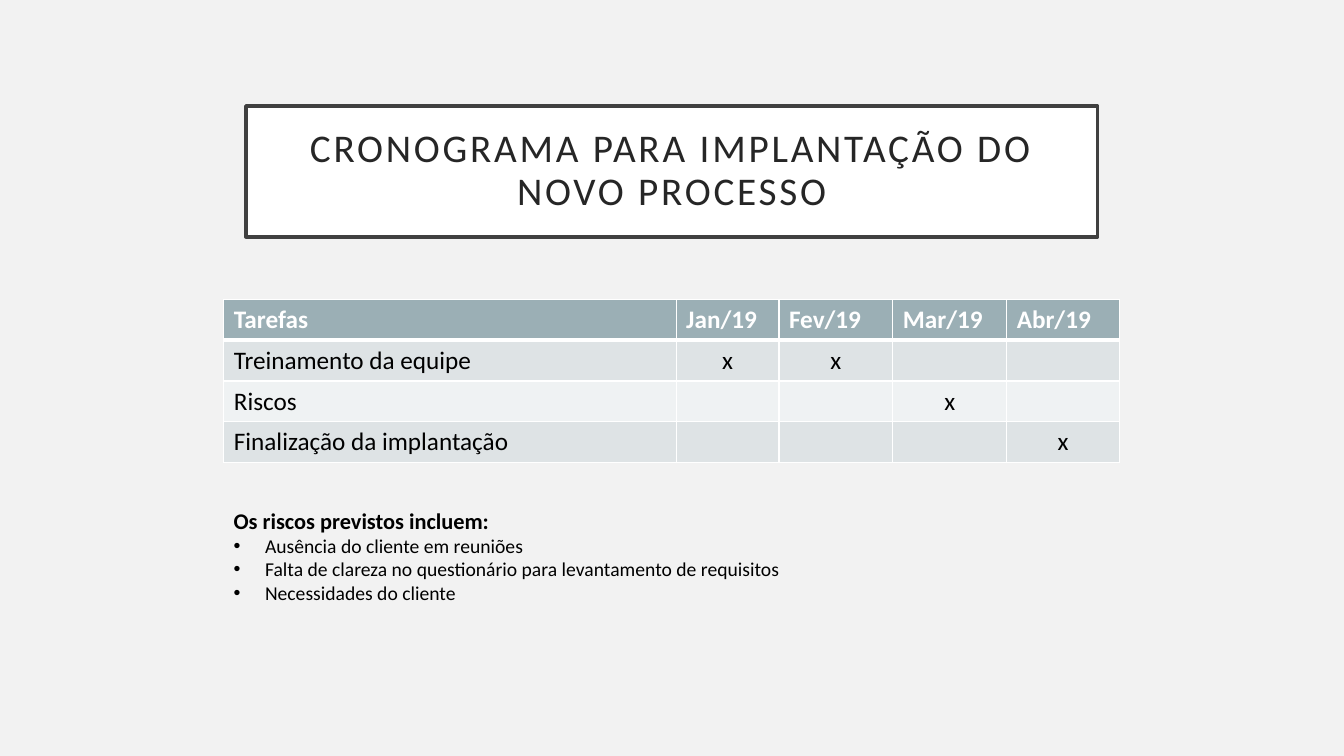
import lxml.etree
import pptx
import pptx.dml.color
import pptx.enum.text
import pptx.oxml.ns
import pptx.util
from pptx.util import Cm

FONT = "Calibri"
WHITE, BLACK = "FFFFFF", "000000"
HEADER_FILL = "9BAFB5"
BAND_FILLS = ("DEE3E5", "EFF2F3")
MONTHS = ("Jan/19", "Fev/19", "Mar/19", "Abr/19")
SCHEDULE = (
    ("Treinamento da equipe", ("Jan/19", "Fev/19")),
    ("Riscos", ("Mar/19",)),
    ("Finalização da implantação", ("Abr/19",)),
)
COLUMN_WIDTHS = (11.4, 2.59, 2.87, 2.87, 2.84)
ROW_HEIGHT = 1.03
RISKS = (
    "Ausência do cliente em reuniões",
    "Falta de clareza no questionário para levantamento de requisitos",
    "Necessidades do cliente",
)
ALIGN = pptx.enum.text.PP_ALIGN


def color(hex_code):
    """Turn a hex string into a colour."""
    return pptx.dml.color.RGBColor.from_string(hex_code)


def paint(fill, hex_code):
    """Apply a solid fill."""
    fill.solid()
    fill.fore_color.rgb = color(hex_code)


def add_xml(parent, tag, **attributes):
    """Append a DrawingML element and return it."""
    return lxml.etree.SubElement(parent, pptx.oxml.ns.qn(tag), attributes)


def style(paragraph, size, hex_code, bold=False):
    """Set the font of a whole paragraph."""
    font = paragraph.font
    font.name, font.size, font.bold = FONT, pptx.util.Pt(size), bold
    font.color.rgb = color(hex_code)


def add_title(slide, text):
    """Fill and frame the title placeholder."""
    title = slide.shapes.title
    title.left, title.top, title.width, title.height = Cm(6.2), Cm(2.67), Cm(21.46), Cm(3.3)
    paint(title.fill, WHITE)
    title.line.color.rgb = color("404040")
    title.line.width = pptx.util.Pt(2.5)
    frame = title.text_frame
    frame.text = text
    frame.word_wrap = True
    frame.auto_size = pptx.enum.text.MSO_AUTO_SIZE.NONE
    frame.vertical_anchor = pptx.enum.text.MSO_ANCHOR.MIDDLE
    frame.margin_left = frame.margin_right = Cm(0.51)
    frame.margin_top = frame.margin_bottom = Cm(0.51)
    heading = frame.paragraphs[0]
    heading.alignment = ALIGN.CENTER
    heading.line_spacing = 0.9
    style(heading, 28, "262626")
    heading.font._element.set("spc", "200")


def add_borders(cell, bottom_width, top_width):
    """Draw white borders around a cell."""
    properties = cell._tc.get_or_add_tcPr()
    widths = {"a:lnL": 1, "a:lnR": 1, "a:lnT": top_width, "a:lnB": bottom_width}
    for side, width in widths.items():
        border = add_xml(properties, side, w=str(pptx.util.Pt(width)))
        add_xml(add_xml(border, "a:solidFill"), "a:srgbClr", val=WHITE)


def add_schedule(slide):
    """Add the table of tasks and months."""
    rows = [("Tarefas", *MONTHS)]
    for task, active_months in SCHEDULE:
        rows.append((task, *("x" if month in active_months else "" for month in MONTHS)))
    schedule = slide.shapes.add_table(
        len(rows), len(COLUMN_WIDTHS), Cm(5.64), Cm(7.54),
        Cm(sum(COLUMN_WIDTHS)), Cm(ROW_HEIGHT * len(rows))).table
    for column, width in zip(schedule.columns, COLUMN_WIDTHS):
        column.width = Cm(width)
    for row_index, labels in enumerate(rows):
        schedule.rows[row_index].height = Cm(ROW_HEIGHT)
        is_header = row_index == 0
        row_fill = HEADER_FILL if is_header else BAND_FILLS[(row_index - 1) % 2]
        for column_index, label in enumerate(labels):
            cell = schedule.cell(row_index, column_index)
            add_borders(cell, 3 if is_header else 1, 3 if row_index == 1 else 1)
            paint(cell.fill, row_fill)
            cell.text = label
            entry = cell.text_frame.paragraphs[0]
            style(entry, 18, WHITE if is_header else BLACK, is_header)
            if not is_header and column_index:
                entry.alignment = ALIGN.CENTER


def add_bullet(paragraph):
    """Give a paragraph a bullet with a hanging indent."""
    properties = paragraph._p.get_or_add_pPr()
    indent = Cm(0.79)
    properties.set("marL", str(indent))
    properties.set("indent", str(-indent))
    bullet_font = add_xml(properties, "a:buFont", typeface="Arial")
    add_xml(properties, "a:buChar", char="•")
    properties.insert(0, properties.find(pptx.oxml.ns.qn("a:buChar")))
    properties.insert(0, bullet_font)


def add_risks(slide):
    """Add the list of expected risks."""
    frame = slide.shapes.add_textbox(Cm(5.64), Cm(12.65), Cm(22.58), Cm(4.27)).text_frame
    frame.word_wrap = True
    heading = frame.paragraphs[0]
    heading.text = "Os riscos previstos incluem:"
    style(heading, 16, BLACK, True)
    for risk in RISKS:
        item = frame.add_paragraph()
        item.text = risk
        style(item, 14, BLACK)
        add_bullet(item)


def main():
    """Build and save the schedule slide."""
    presentation = pptx.Presentation()
    presentation.slide_width, presentation.slide_height = Cm(33.87), Cm(19.05)
    slide = presentation.slides.add_slide(presentation.slide_layouts.get_by_name("Title Only"))
    paint(slide.background.fill, "F2F2F2")
    add_title(slide, "CRONOGRAMA PARA IMPLANTAÇÃO DO NOVO PROCESSO")
    add_schedule(slide)
    add_risks(slide)
    presentation.save("out.pptx")


main()
